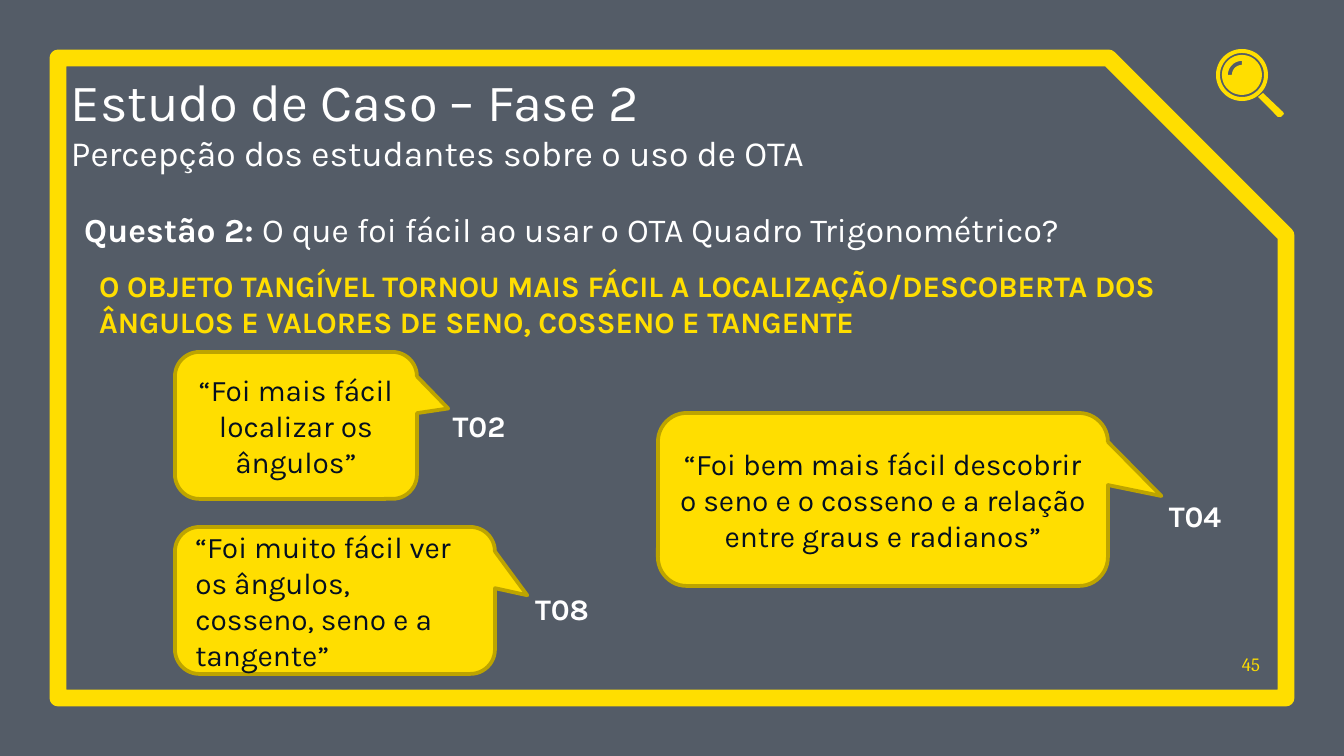
from math import cos, radians, sin

from lxml.etree import SubElement
from pptx import Presentation
from pptx.dml.color import RGBColor
from pptx.enum.shapes import MSO_SHAPE
from pptx.enum.text import MSO_ANCHOR, PP_ALIGN
from pptx.oxml import parse_xml
from pptx.oxml.ns import nsdecls, qn
from pptx.util import Pt

PX = 914400 / 134.4  # EMU in one px
WIDTH, HEIGHT = 1344, 756


class Theme:
    navy = RGBColor.from_string("040F20")
    yellow = RGBColor.from_string("FFDE00")
    gold = RGBColor.from_string("BDA400")
    white = RGBColor.from_string("FFFFFF")
    font, number_font = "Karla", "Cambria"
    title, subtitle, question, body, number = 28, 19, 18, 16, 10


def emu(*lengths):
    return [round(length * PX) for length in lengths]


def add_text(box, anchor, margin, lines, align=PP_ALIGN.LEFT):
    """Fill a text box or shape; each line is (runs, size, color, bold, font)."""
    frame = box.text_frame
    frame.word_wrap = True
    frame.vertical_anchor = anchor
    if not margin:
        frame.margin_left = frame.margin_right = 0
        frame.margin_top = frame.margin_bottom = 0
    for index, (runs, size, color, bold, font) in enumerate(lines):
        paragraph = frame.add_paragraph() if index else frame.paragraphs[0]
        paragraph.alignment = align
        paragraph.font.size = Pt(size)
        paragraph.font.name = font
        paragraph.font.bold = bold
        paragraph.font.color.rgb = color
        for text in runs:
            paragraph.add_run().text = text
    return frame


presentation = Presentation()
presentation.slide_width, presentation.slide_height = emu(WIDTH, HEIGHT)
slide = presentation.slides.add_slide(presentation.slide_layouts[6])
shapes = slide.shapes

# Backdrop and frame
backdrop = shapes.add_shape(MSO_SHAPE.RECTANGLE, *emu(0, 0, WIDTH, HEIGHT))
backdrop.shadow.inherit = False
backdrop.fill.solid()
backdrop.fill.fore_color.rgb = Theme.navy
backdrop.line.fill.background()
backdrop_color = backdrop._element.spPr.find(".//" + qn("a:srgbClr"))
SubElement(backdrop_color, qn("a:alpha"), val="68000")

border = shapes.add_shape(MSO_SHAPE.SNIP_1_RECTANGLE, *emu(58, 58, 1228, 640))
border.shadow.inherit = False
border.adjustments[0] = 0.277
border.fill.background()
border.line.color.rgb = Theme.yellow
border.line.width = Pt(9)

# Magnifying glass: ring, lens with a glint cut out, handle
lens_x, lens_y = 1242, 75


def arc(radius, start, end):
    """Points on an arc around the lens centre, in EMU, every 6 degrees."""
    step = 6 if end > start else -6
    return [
        emu(lens_x + radius * cos(radians(angle)), lens_y + radius * sin(radians(angle)))
        for angle in range(start, end + step, step)
    ]


glint = arc(14, 270, 180) + arc(10, 180, 270)
handle = [emu(*point) for point in
          [(1263, 93), (1258, 97), (1278, 117), (1281, 117), (1284, 114), (1283, 112)]]
magnifier = shapes.add_group_shape()
for contours in (
    [arc(26, 0, 360), arc(22, 360, 0)],
    [arc(20, 0, 360), glint],
    [handle],
):
    builder = magnifier.shapes.build_freeform(*contours[0][0])
    builder.add_line_segments(contours[0][1:], close=True)
    for contour in contours[1:]:
        builder.move_to(*contour[0])
        builder.add_line_segments(contour[1:], close=True)
    part = builder.convert_to_shape()
    part.shadow.inherit = False
    part.fill.solid()
    part.fill.fore_color.rgb = Theme.yellow
    part.line.fill.background()

# Page number, title, question and finding
add_text(shapes.add_textbox(*emu(1224, 637, 36, 38)), MSO_ANCHOR.BOTTOM, False,
         [(["45"], Theme.number, Theme.yellow, False, Theme.number_font)], PP_ALIGN.RIGHT)

title = add_text(
    shapes.add_textbox(*emu(71, 73, 1130, 101)), MSO_ANCHOR.BOTTOM, False,
    [(["Estudo de Caso – Fase 2"], Theme.title, Theme.white, False, Theme.font),
     (["Percepção dos estudantes sobre o uso de OTA"],
      Theme.subtitle, Theme.white, False, Theme.font)])
for paragraph in title.paragraphs:
    for run in paragraph.runs:
        run._r.get_or_add_rPr().append(parse_xml(
            f'<a:effectLst {nsdecls("a")}>'
            '<a:outerShdw blurRad="38100" dist="38100" dir="2700000" algn="tl">'
            '<a:srgbClr val="000000"><a:alpha val="43000"/></a:srgbClr>'
            '</a:outerShdw></a:effectLst>'))

question = add_text(
    shapes.add_textbox(*emu(71, 202, 1085, 54)), MSO_ANCHOR.TOP, True,
    [(["Questão 2: ", "O que foi fácil ao usar o OTA Quadro Trigonométrico?"],
      Theme.question, Theme.white, None, Theme.font)])
for run, bold in zip(question.paragraphs[0].runs, (True, False)):
    run.font.bold = bold

add_text(shapes.add_textbox(*emu(86, 261, 1172, 86)), MSO_ANCHOR.TOP, True,
         [(["O OBJETO TANGÍVEL TORNOU MAIS FÁCIL A LOCALIZAÇÃO/DESCOBERTA DOS "
            "ÂNGULOS E VALORES DE SENO, COSSENO E TANGENTE"],
           Theme.body, Theme.yellow, True, Theme.font)])

# Quotes: text, box, pointer tip, alignment, student, label position
quotes = [
    ("“Foi mais fácil localizar os ângulos”",
     (175, 352, 242, 147), (0.629, -0.115), PP_ALIGN.CENTER, "T02", (437, 401)),
    ("“Foi bem mais fácil descobrir o seno e o cosseno e a relação entre graus e radianos”",
     (658, 413, 450, 173), (0.619, -0.02), PP_ALIGN.CENTER, "T04", (1153, 491)),
    ("“Foi muito fácil ver os ângulos, cosseno, seno e a tangente”",
     (175, 527, 320, 147), (0.601, -0.035), PP_ALIGN.LEFT, "T08", (520, 584)),
]
for quote, bounds, tip, align, student, label_position in quotes:
    callout = shapes.add_shape(MSO_SHAPE.ROUNDED_RECTANGULAR_CALLOUT, *emu(*bounds))
    callout.shadow.inherit = False
    callout.adjustments[0], callout.adjustments[1] = tip
    callout.fill.solid()
    callout.fill.fore_color.rgb = Theme.yellow
    callout.line.color.rgb = Theme.gold
    callout.line.width = Pt(2)
    add_text(callout, MSO_ANCHOR.MIDDLE, True,
             [([quote], Theme.body, Theme.navy, False, Theme.font)], align)
    add_text(shapes.add_textbox(*emu(*label_position, 84, 50)), MSO_ANCHOR.TOP, True,
             [([student], Theme.body, Theme.white, True, Theme.font)], PP_ALIGN.CENTER)

presentation.save("out.pptx")
